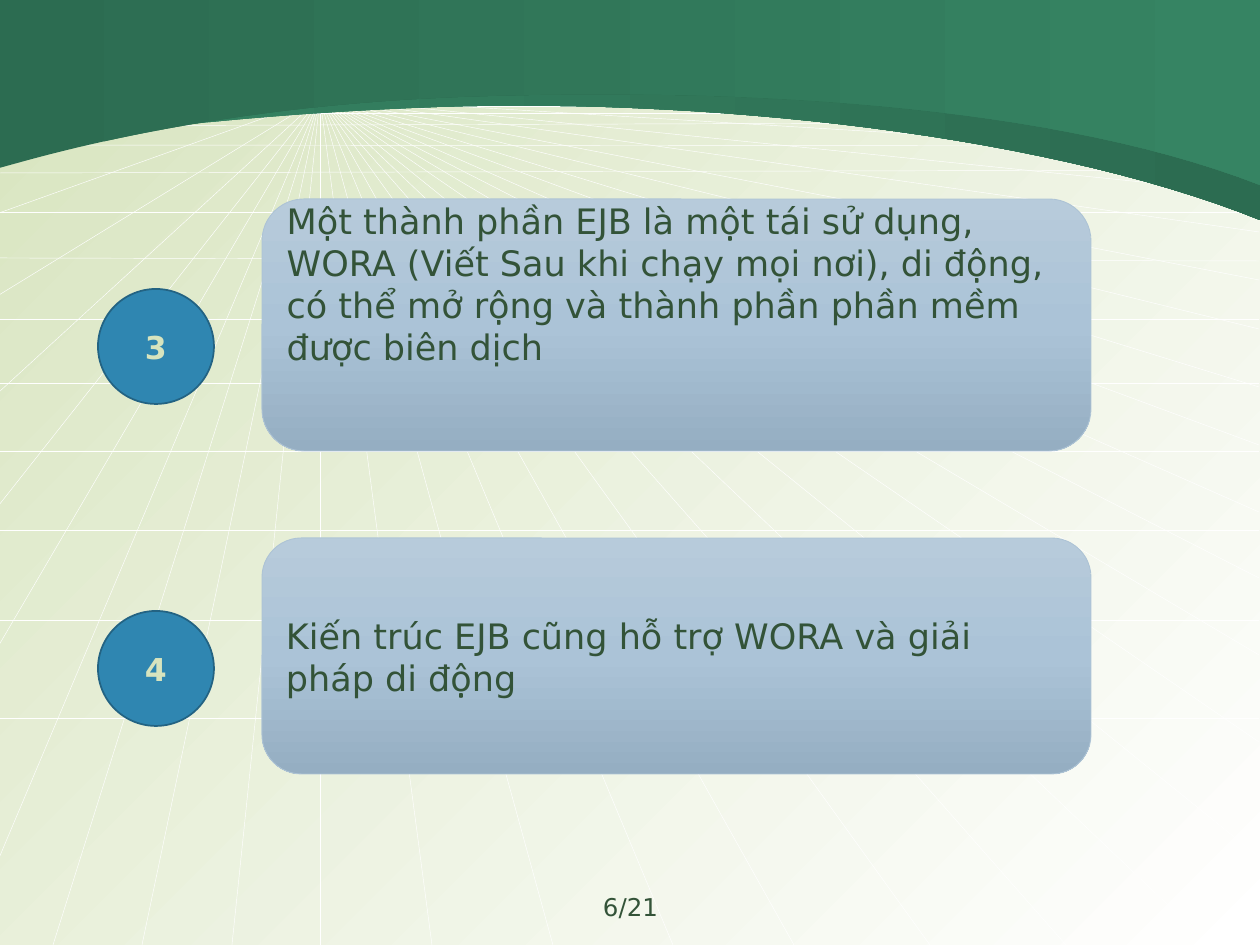
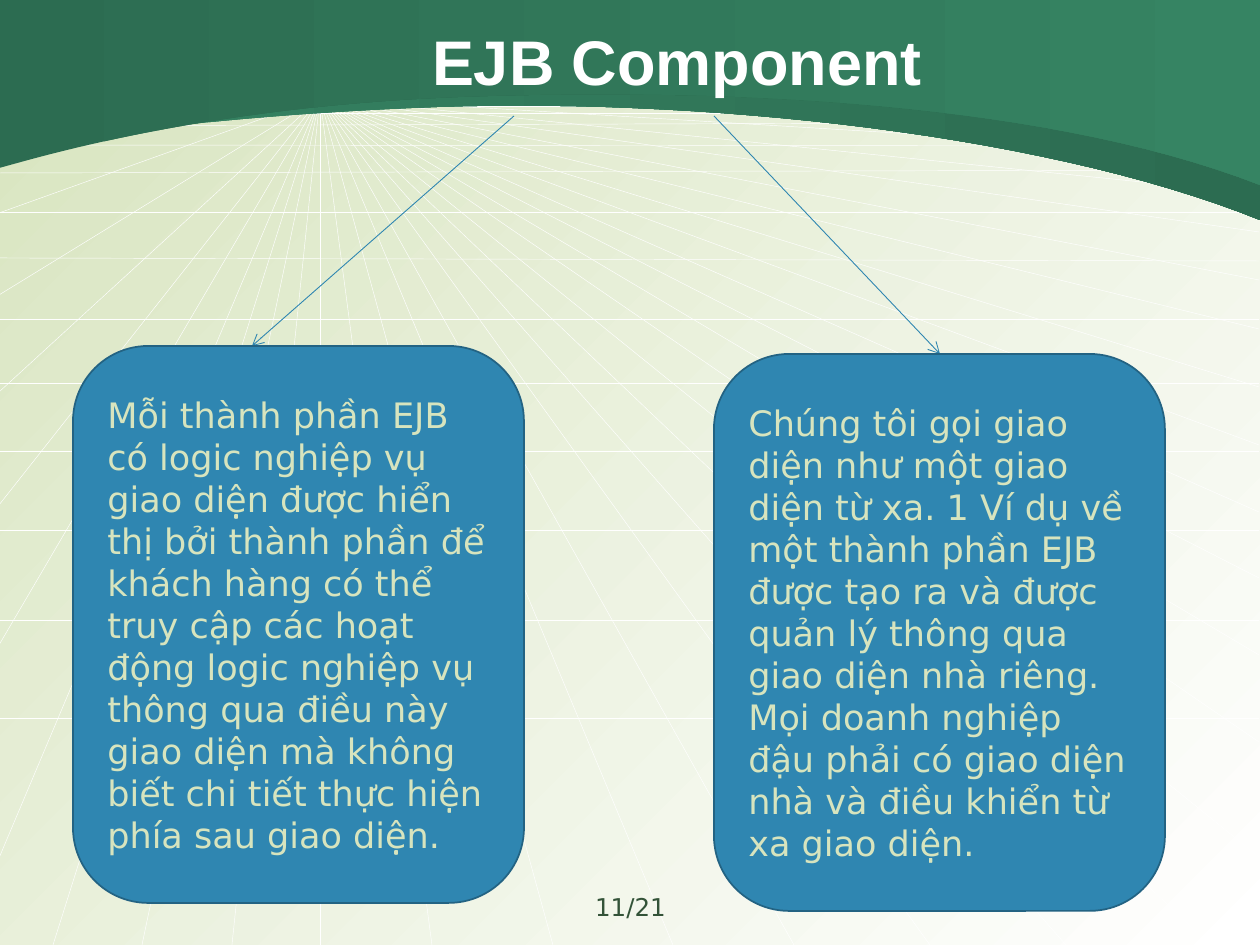
"""Build two slides about EJB components on a shared green arch master."""
from copy import deepcopy
from dataclasses import dataclass

from lxml.etree import SubElement
from pptx import Presentation
from pptx.dml.color import RGBColor
from pptx.enum.shapes import MSO_CONNECTOR as Connector, MSO_SHAPE as Preset
from pptx.enum.text import MSO_ANCHOR as Anchor, PP_ALIGN as Align
from pptx.oxml.ns import qn
from pptx.util import Pt

EMU_PER_PX = 914400 / 126
WIDTH, HEIGHT = 1260, 945
BODY_FONT, TITLE_FONT = "DejaVu Sans", "Arial"
PAGE_TOTAL = 21
CURVE_STEPS = 30

COLORS = {
    "pale": "D7E4BE", "white": "FFFFFF", "text": "335338",
    "green": "368463", "deep_green": "2C6C51",
    "blue": "2F86B1", "blue_edge": "236383",
    "card_top": "B7CBDB", "card_middle": "ABC3D7", "card_bottom": "95AEC2", "card_edge": "ADC3D5",
}

RAY_ORIGIN = (320, 98)
RAY_RIGHT_YS = (126, 155, 194, 232, 280, 329, 387, 445, 512, 578, 655, 742, 857)
RAY_BOTTOM_XS = (1210, 1066, 930, 794, 673, 553, 432, 320, 232, 142, 53)
RAY_LEFT_YS = (98, 122, 146, 213, 295, 392, 505, 645, 858)
HORIZON_YS = ((718, 718), (620, 620), (530, 530), (451, 451), (383, 383), (319, 319), (258, 261),
              (212, 212), (173, 170), (145, 146), (126, 122), (113, 113), (106, 106))


@dataclass(frozen=True)
class Arch:
    """A band that hangs from the top edge down to two joined curves."""
    top: int
    start: tuple[int, int]
    curves: tuple[tuple[tuple[int, int], ...], ...]
    colors: tuple[str, ...]


@dataclass(frozen=True)
class Block:
    """A filled preset shape with text."""
    preset: Preset
    left: int
    top: int
    width: int
    height: int
    text: str
    fill: tuple[str, ...]
    edge: str
    edge_width: float
    color: str
    size: int = 20
    bold: bool = False
    align: Align = Align.LEFT
    bottom_inset: int = 6


@dataclass(frozen=True)
class Arrow:
    """A straight arrow between two points."""
    start: tuple[int, int]
    end: tuple[int, int]


ARCHES = (
    Arch(0, (-1, 150), (((14, 149), (168, 117), (437, 107)), ((707, 98), (1047, 134), (1260, 220))),
         ("green", "deep_green")),
    Arch(-1, (-1, 168), (((14, 165), (190, 107), (459, 97)), ((727, 87), (1047, 102), (1260, 185))),
         ("deep_green", "green")),
)


def card(top: int, height: int, text: str, bottom_inset: int = 6) -> Block:
    """Describe a pale card in the right column."""
    return Block(Preset.ROUNDED_RECTANGLE, 262, top, 829, height, text,
                 ("card_top", "card_middle", "card_bottom"), "card_edge", 0.5, "text",
                 bottom_inset=bottom_inset)


def badge(top: int, number: int) -> Block:
    """Describe a round number badge in the left column."""
    return Block(Preset.OVAL, 98, top, 116, 115, str(number), ("blue",), "blue_edge", 1,
                 "pale", 18, True, Align.CENTER)


def panel(left: int, top: int, text: str) -> Block:
    """Describe a tall blue panel."""
    return Block(Preset.ROUNDED_RECTANGLE, left, top, 451, 557, text, ("blue",), "blue_edge", 1, "pale")


POINTS = (
    card(199, 252, "Một thành phần EJB là một tái sử dụng, WORA (Viết Sau khi chạy mọi nơi), di động, "
         "có thể mở rộng và thành phần phần mềm được biên dịch", 90),
    badge(289, 3),
    card(538, 236, "Kiến trúc EJB cũng hỗ trợ WORA và giải pháp di động"),
    badge(611, 4),
)
PANELS = (
    panel(714, 354, "Chúng tôi gọi giao diện như một giao diện từ xa. 1 Ví dụ về một thành phần EJB "
          "được tạo ra và được quản lý thông qua giao diện nhà riêng. Mọi doanh nghiệp đậu phải có "
          "giao diện nhà và điều khiển từ xa giao diện."),
    panel(73, 346, "Mỗi thành phần EJB có logic nghiệp vụ giao diện được hiển thị bởi thành phần để "
          "khách hàng có thể truy cập các hoạt động logic nghiệp vụ thông qua điều này giao diện mà "
          "không biết chi tiết thực hiện phía sau giao diện."),
)
ARROWS = (Arrow((514, 116), (252, 346)), Arrow((714, 116), (940, 354)))


def px(*lengths: float) -> list[int]:
    """Turn pixel lengths into EMU."""
    return [round(length * EMU_PER_PX) for length in lengths]


def rgb(name: str) -> RGBColor:
    """Look up a named colour."""
    return RGBColor.from_string(COLORS[name])


def paint(fill, element, names: tuple[str, ...], angle: int = 0) -> None:
    """Fill with one colour, or with an even gradient at a clockwise angle."""
    if len(names) == 1:
        fill.solid()
        fill.fore_color.rgb = rgb(names[0])
        return
    fill.gradient()
    fill.gradient_angle = -angle % 360
    stop_list = next(element.iter(qn("a:gsLst")))
    while len(stop_list) < len(names):
        stop_list.insert(1, deepcopy(stop_list[0]))
    for index, (stop, name) in enumerate(zip(fill.gradient_stops, names)):
        stop.position = index / (len(names) - 1)
        stop.color.rgb = rgb(name)


def style_text(frame, text: str, size: int, color: str, font: str = BODY_FONT,
               bold: bool = False, align: Align = Align.LEFT) -> None:
    """Write wrapped text and format its runs."""
    frame.word_wrap = True
    frame.text = text
    for para in frame.paragraphs:
        para.alignment = align
        for span in para.runs:
            span.font.name = font
            span.font.size = Pt(size)
            span.font.bold = bold
            span.font.color.rgb = rgb(color)


def draw_line(page, start: tuple[int, int], end: tuple[int, int], color: str, width: float,
              arrow: bool = False) -> None:
    """Draw a straight line without shadow."""
    line = page.shapes.add_connector(Connector.STRAIGHT, *px(*start, *end))
    line.line.color.rgb = rgb(color)
    line.line.width = Pt(width)
    properties = line.element.spPr
    if arrow:
        SubElement(properties.find(qn("a:ln")), qn("a:tailEnd"), type="arrow")
    SubElement(properties, qn("a:effectLst"))


def curve_points(start: tuple[int, int], curve: tuple[tuple[int, int], ...]) -> list[list[int]]:
    """Sample a cubic curve after its start point."""
    points = []
    for step in range(1, CURVE_STEPS + 1):
        t = step / CURVE_STEPS
        weights = ((1 - t) ** 3, 3 * t * (1 - t) ** 2, 3 * t * t * (1 - t), t ** 3)
        corners = (start, *curve)
        points.append(px(*(sum(w * corner[axis] for w, corner in zip(weights, corners)) for axis in (0, 1))))
    return points


def draw_arch(page, arch: Arch) -> None:
    """Draw one gradient band along the top edge."""
    outline, start = [px(*arch.start)], arch.start
    for curve in arch.curves:
        outline += curve_points(start, curve)
        start = curve[-1]
    outline.append(px(WIDTH, 0))
    builder = page.shapes.build_freeform(*px(-1, arch.top), scale=1.0)
    builder.add_line_segments(outline, close=True)
    shape = builder.convert_to_shape()
    shape.shadow.inherit = False
    shape.line.fill.background()
    paint(shape.fill, shape.element, arch.colors)


def build_master(deck, page) -> None:
    """Draw the backdrop on an empty page and hand it over to the slide master."""
    master = deck.slide_master
    paint(master.background.fill, master.element, ("pale", "white"), 45)
    ends = [(WIDTH - 1, y) for y in RAY_RIGHT_YS]
    ends += [(x, HEIGHT) for x in RAY_BOTTOM_XS]
    ends += [(-1, y) for y in RAY_LEFT_YS]
    segments = [(RAY_ORIGIN, end) for end in ends]
    segments += [((-1, left), (WIDTH - 1, right)) for left, right in HORIZON_YS]
    for start, end in segments:
        draw_line(page, start, end, "white", 0.25)
    for arch in ARCHES:
        draw_arch(page, arch)
    for index, shape in enumerate(list(page.shapes)):
        next(shape.element.iter(qn("p:cNvPr"))).set("id", str(100 + index))
        master.shapes.element.insert(2 + index, shape.element)


def draw_block(page, block: Block) -> None:
    """Draw a preset shape with its text."""
    box = page.shapes.add_shape(block.preset, *px(block.left, block.top, block.width, block.height))
    box.shadow.inherit = False
    paint(box.fill, box.element, block.fill, 90)
    box.line.color.rgb = rgb(block.edge)
    box.line.width = Pt(block.edge_width)
    frame = box.text_frame
    style_text(frame, block.text, block.size, block.color, bold=block.bold, align=block.align)
    frame.vertical_anchor = Anchor.MIDDLE
    frame.margin_bottom = px(block.bottom_inset)[0]


def draw_page_number(page, number: int) -> None:
    """Write the page number at the foot."""
    box = page.shapes.add_textbox(*px(431, 886, 399, 44))
    style_text(box.text_frame, f"{number}/{PAGE_TOTAL}", 14, "text", align=Align.CENTER)


def draw_title(page, text: str) -> None:
    """Place and format the title."""
    title = page.shapes.title
    title.left, title.top, title.width, title.height = px(168, 21, 1018, 78)
    style_text(title.text_frame, text, 36, "white", TITLE_FONT, True, Align.CENTER)
    title.text_frame.vertical_anchor = Anchor.MIDDLE


def main() -> None:
    """Build and save the deck."""
    deck = Presentation()
    deck.slide_width, deck.slide_height = px(WIDTH, HEIGHT)
    title_only, blank = deck.slide_layouts[5], deck.slide_layouts[6]

    points_page = deck.slides.add_slide(blank)
    build_master(deck, points_page)
    draw_page_number(points_page, 6)
    for block in POINTS:
        draw_block(points_page, block)

    component_page = deck.slides.add_slide(title_only)
    draw_title(component_page, "EJB Component")
    draw_page_number(component_page, 11)
    for arrow in ARROWS:
        draw_line(component_page, arrow.start, arrow.end, "blue", 0.5, arrow=True)
    for block in PANELS:
        draw_block(component_page, block)

    deck.save("out.pptx")


if __name__ == "__main__":
    main()
